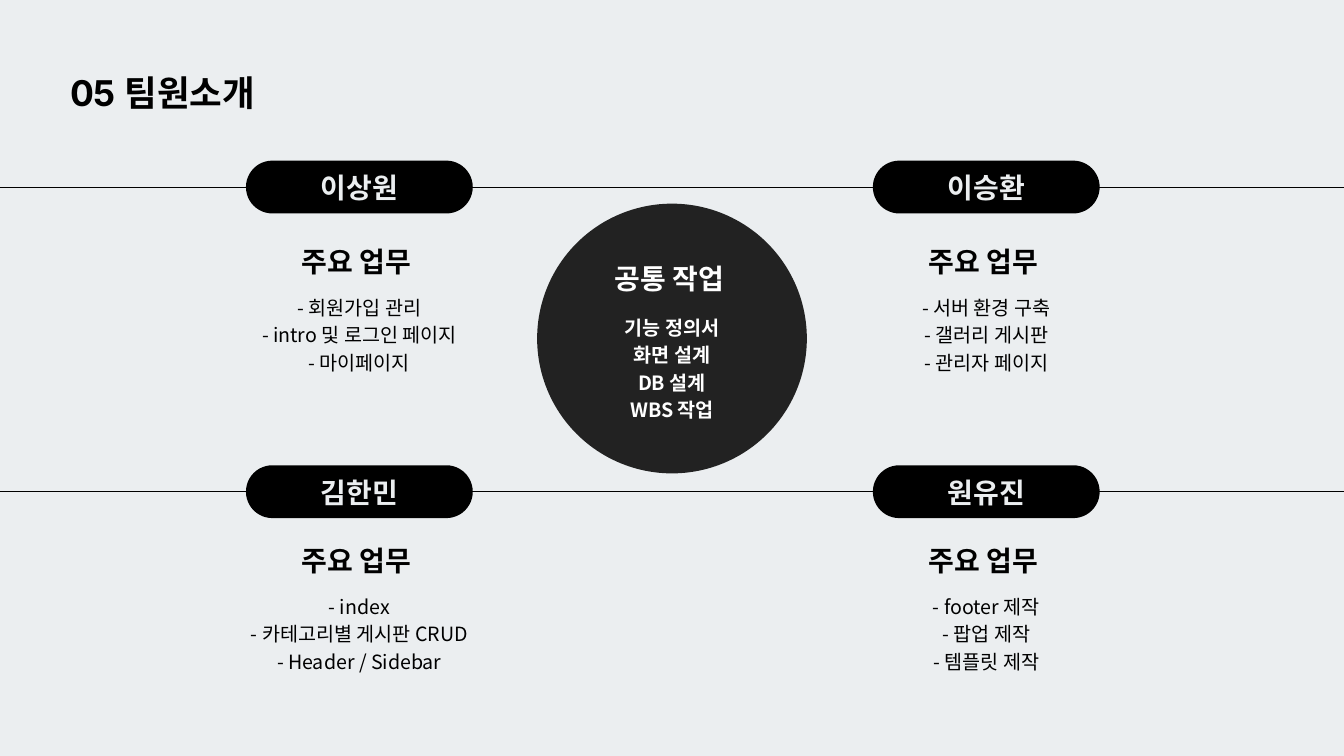
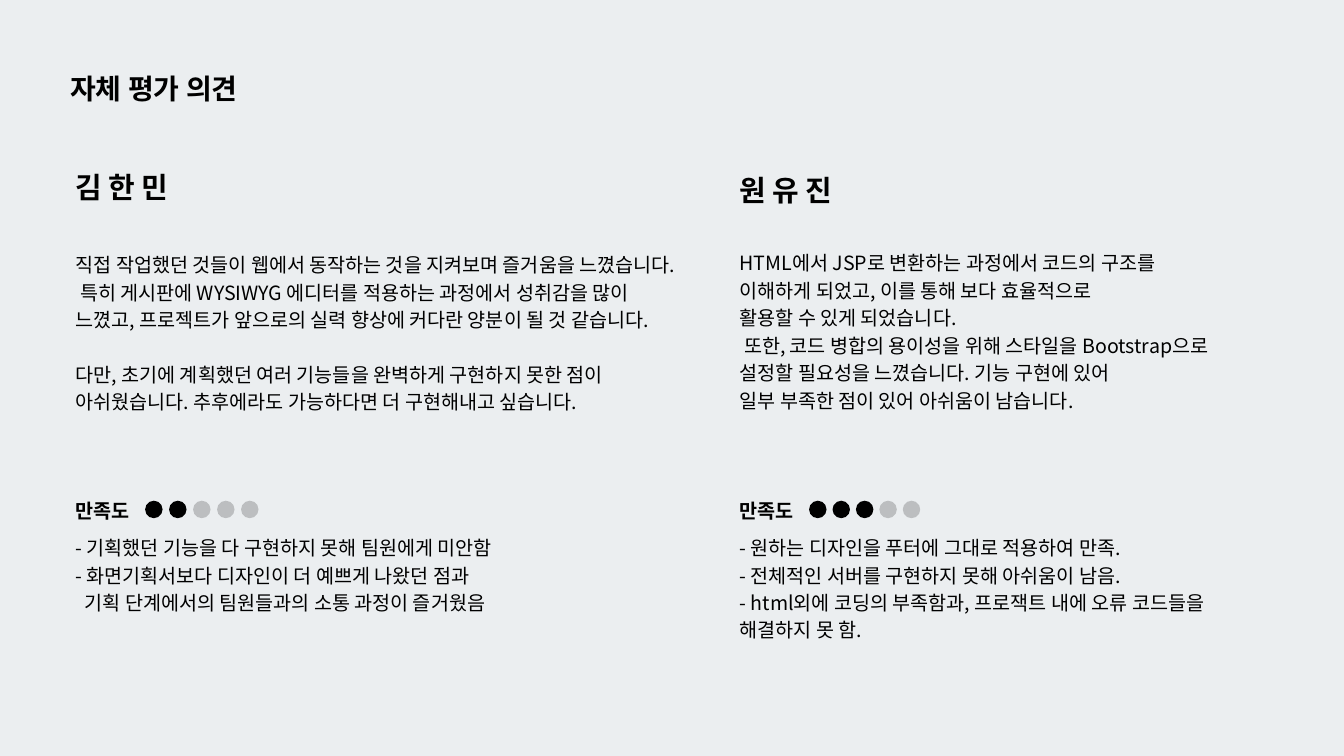
from dataclasses import dataclass, replace

import lxml.etree
import pptx
import pptx.dml.color
import pptx.enum.shapes
import pptx.enum.text
import pptx.oxml.ns
import pptx.util

Pt = pptx.util.Pt
Align = pptx.enum.text.PP_ALIGN
Anchor = pptx.enum.text.MSO_ANCHOR
Preset = pptx.enum.shapes.MSO_SHAPE
qn = pptx.oxml.ns.qn

COLORS = {"background": "EBEEF0", "ink": "000000", "circle": "222222", "white": "FFFFFF"}
KOREAN_FONT = "Noto Sans CJK SC"
LINE_HEIGHT = 29.4


# Shared styles and records
@dataclass(frozen=True)
class Style:
    size: float
    spacing: float
    bold: bool = False
    color: str = "ink"
    font: str = KOREAN_FONT
    align: Align = Align.LEFT


@dataclass(frozen=True)
class Line:
    text: str
    indent: float = 0
    space_before: float = 0


@dataclass(frozen=True)
class Box:
    left: float
    top: float
    width: float
    height: float

    def lengths(self) -> list:
        return [Pt(value) for value in (self.left, self.top, self.width, self.height)]


@dataclass(frozen=True)
class Member:
    name: str
    center: float
    line_top: float
    heading_top: float
    tasks: list[str]


@dataclass(frozen=True)
class Review:
    name: str
    left: float
    name_top: float
    name_spacing: float
    opinion_top: float
    opinion_width: float
    opinion: list[Line]
    score: int
    dot_left: float
    dot_pitch: float
    comment_width: float
    comments: list[Line]


BODY = Style(21, LINE_HEIGHT)
BODY_BOLD = replace(BODY, bold=True)
HEADING = Style(30, 42, bold=True)
SECTION_TITLE = Style(38, 53.2, bold=True, font="Inter")
PAGE_TITLE = replace(HEADING, font="Inter")


# Drawing helpers
def rgb(name: str) -> pptx.dml.color.RGBColor:
    return pptx.dml.color.RGBColor.from_string(COLORS[name])


def write(text_frame, lines: list[Line], style: Style) -> None:
    text_frame.word_wrap = True
    text_frame.auto_size = pptx.enum.text.MSO_AUTO_SIZE.NONE
    text_frame.margin_left = text_frame.margin_right = 0
    text_frame.margin_top = text_frame.margin_bottom = 0
    text_frame.text = "\n".join(line.text for line in lines)
    for paragraph, line in zip(text_frame.paragraphs, lines):
        paragraph.alignment = style.align
        paragraph.line_spacing = Pt(style.spacing)
        paragraph.space_before = Pt(line.space_before)
        if line.indent:
            paragraph._p.get_or_add_pPr().set("indent", str(Pt(line.indent)))
        for run in paragraph.runs:
            run.font.size = Pt(style.size)
            run.font.bold = style.bold
            run.font.name = style.font
            run.font.color.rgb = rgb(style.color)
            east_asian = lxml.etree.SubElement(run.font._element, qn("a:ea"))
            east_asian.set("typeface", style.font)


def add_text(slide, box: Box, lines: list[Line], style: Style) -> None:
    write(slide.shapes.add_textbox(*box.lengths()).text_frame, lines, style)


def add_preset(slide, preset: Preset, box: Box, color: str, opacity: int = 100):
    shape = slide.shapes.add_shape(preset, *box.lengths())
    shape.shadow.inherit = False
    shape.line.fill.background()
    shape.fill.solid()
    shape.fill.fore_color.rgb = rgb(color)
    if opacity < 100:
        tint = shape.fill._xPr.find(qn("a:solidFill"))[0]
        lxml.etree.SubElement(tint, qn("a:alpha")).set("val", str(opacity * 1000))
    return shape


def add_rule(slide, top: float) -> None:
    rule = slide.shapes.add_connector(
        pptx.enum.shapes.MSO_CONNECTOR.STRAIGHT, 0, Pt(top), Pt(1440), Pt(top))
    rule.line.color.rgb = rgb("ink")
    rule.line.width = Pt(0.75)
    lxml.etree.SubElement(rule._element.spPr, qn("a:effectLst"))


def add_titled_slide(presentation, title: str, box: Box, style: Style):
    slide = presentation.slides.add_slide(presentation.slide_layouts[5])
    placeholder = slide.shapes.title
    placeholder.left, placeholder.top, placeholder.width, placeholder.height = box.lengths()
    write(placeholder.text_frame, [Line(title)], style)
    placeholder.text_frame.vertical_anchor = Anchor.TOP
    return slide


# Team slide
LEFT_CENTER, RIGHT_CENTER = 385, 1056.7
UPPER_ROW = (200.4, 256.3)
LOWER_ROW = (526.8, 576.7)
MEMBERS = [
    Member("이상원", LEFT_CENTER, *UPPER_ROW,
           ["- 회원가입 관리", "- intro 및 로그인 페이지", "- 마이페이지"]),
    Member("이승환", RIGHT_CENTER, *UPPER_ROW,
           ["- 서버 환경 구축", "- 갤러리 게시판", "- 관리자 페이지"]),
    Member("김한민", LEFT_CENTER, *LOWER_ROW,
           ["- index", "- 카테고리별 게시판 CRUD", "- Header / Sidebar"]),
    Member("원유진", RIGHT_CENTER, *LOWER_ROW,
           ["- footer 제작", "- 팝업 제작", "- 템플릿 제작"]),
]
SHARED_TASKS = ["기능 정의서", "화면 설계", "DB 설계", "WBS 작업"]


def add_member(slide, member: Member) -> None:
    pill_box = Box(member.center - 121.5, member.line_top - 28.3, 243, 56.6)
    pill = add_preset(slide, Preset.ROUNDED_RECTANGLE, pill_box, "ink")
    pill.adjustments[0] = 0.5
    write(pill.text_frame, [Line(member.name)],
          replace(HEADING, color="background", align=Align.CENTER))
    pill.text_frame.vertical_anchor = Anchor.MIDDLE
    pill.text_frame.margin_bottom = Pt(4.4)
    add_text(slide, Box(member.center - 61.5, member.heading_top, 123, 41),
             [Line("주요 업무")], HEADING)
    add_text(slide, Box(member.center - 125, member.heading_top + 56.2, 250, 88),
             [Line(task) for task in member.tasks], replace(BODY, align=Align.CENTER))


def build_team(presentation) -> None:
    slide = add_titled_slide(presentation, "05 팀원소개", Box(75, 69, 199.4, 107), SECTION_TITLE)
    for line_top, _ in (UPPER_ROW, LOWER_ROW):
        add_rule(slide, line_top)
    for member in MEMBERS:
        add_member(slide, member)

    # Shared work in the centre
    add_preset(slide, Preset.OVAL, Box(575.5, 218.2, 289, 289), "circle")
    add_text(slide, Box(658.8, 274.3, 123, 41), [Line("공통 작업")],
             replace(HEADING, color="white"))
    add_text(slide, Box(645.8, 334.3, 148.3, 118), [Line(task) for task in SHARED_TASKS],
             replace(BODY_BOLD, color="white", align=Align.CENTER))


# Review slide
DOT_COUNT = 5
DOT_SIZE = 18.7
REVIEWS = [
    Review(
        "김 한 민", 81, 185.8, 33.5, 267, 639.4,
        [Line("직접 작업했던 것들이 웹에서 동작하는 것을 지켜보며 즐거움을 느꼈습니다. "
              "특히 게시판에 WYSIWYG 에디터를 적용하는 과정에서 성취감을 많이 느꼈고, "
              "프로젝트가 앞으로의 실력 향상에 커다란 양분이 될 것 같습니다."),
         Line("다만, 초기에 계획했던 여러 기능들을 완벽하게 구현하지 못한 점이 아쉬웠습니다. "
              "추후에라도 가능하다면 더 구현해내고 싶습니다.", space_before=LINE_HEIGHT)],
        2, 155.5, 25.7, 459.4,
        [Line("- 기획했던 기능을 다 구현하지 못해 팀원에게 미안함"),
         Line("- 화면기획서보다 디자인이 더 예쁘게 나왔던 점과"),
         Line("기획 단계에서의 팀원들과의 소통 과정이 즐거웠음", indent=9.6)]),
    Review(
        "원 유 진", 792.4, 178.6, 43.4, 265, 517,
        [Line("HTML에서 JSP로 변환하는 과정에서 코드의 구조를"),
         Line("이해하게 되었고, 이를 통해 보다 효율적으로"),
         Line("활용할 수 있게 되었습니다."),
         Line("또한, 코드 병합의 용이성을 위해 스타일을 Bootstrap으로", indent=4.8),
         Line("설정할 필요성을 느꼈습니다. 기능 구현에 있어"),
         Line("일부 부족한 점이 있어 아쉬움이 남습니다.")],
        3, 866.9, 25.1, 505.4,
        [Line("- 원하는 디자인을 푸터에 그대로 적용하여 만족."),
         Line("- 전체적인 서버를 구현하지 못해 아쉬움이 남음."),
         Line("- html외에 코딩의 부족함과, 프로잭트 내에 오류 코드들을"),
         Line("해결하지 못 함.")]),
]


def add_review(slide, review: Review) -> None:
    add_text(slide, Box(review.left, review.name_top, 103, 42), [Line(review.name)],
             Style(31, review.name_spacing, bold=True))
    add_text(slide, Box(review.left, review.opinion_top, review.opinion_width, 206),
             review.opinion, BODY)
    add_text(slide, Box(review.left, 530, 60, 28), [Line("만족도")], BODY_BOLD)
    for index in range(DOT_COUNT):
        dot_box = Box(review.dot_left + index * review.dot_pitch, 536.5, DOT_SIZE, DOT_SIZE)
        add_preset(slide, Preset.OVAL, dot_box, "ink", 100 if index < review.score else 20)
    add_text(slide, Box(review.left, 570.2, review.comment_width, 147), review.comments, BODY)


def build_reviews(presentation) -> None:
    slide = add_titled_slide(presentation, "자체 평가 의견", Box(75, 70.6, 200, 42), PAGE_TITLE)
    for review in REVIEWS:
        add_review(slide, review)


def main() -> None:
    presentation = pptx.Presentation()
    presentation.slide_width, presentation.slide_height = Pt(1440), Pt(810)
    background = presentation.slide_master.background.fill
    background.solid()
    background.fore_color.rgb = rgb("background")
    build_team(presentation)
    build_reviews(presentation)
    presentation.save("out.pptx")


if __name__ == "__main__":
    main()
